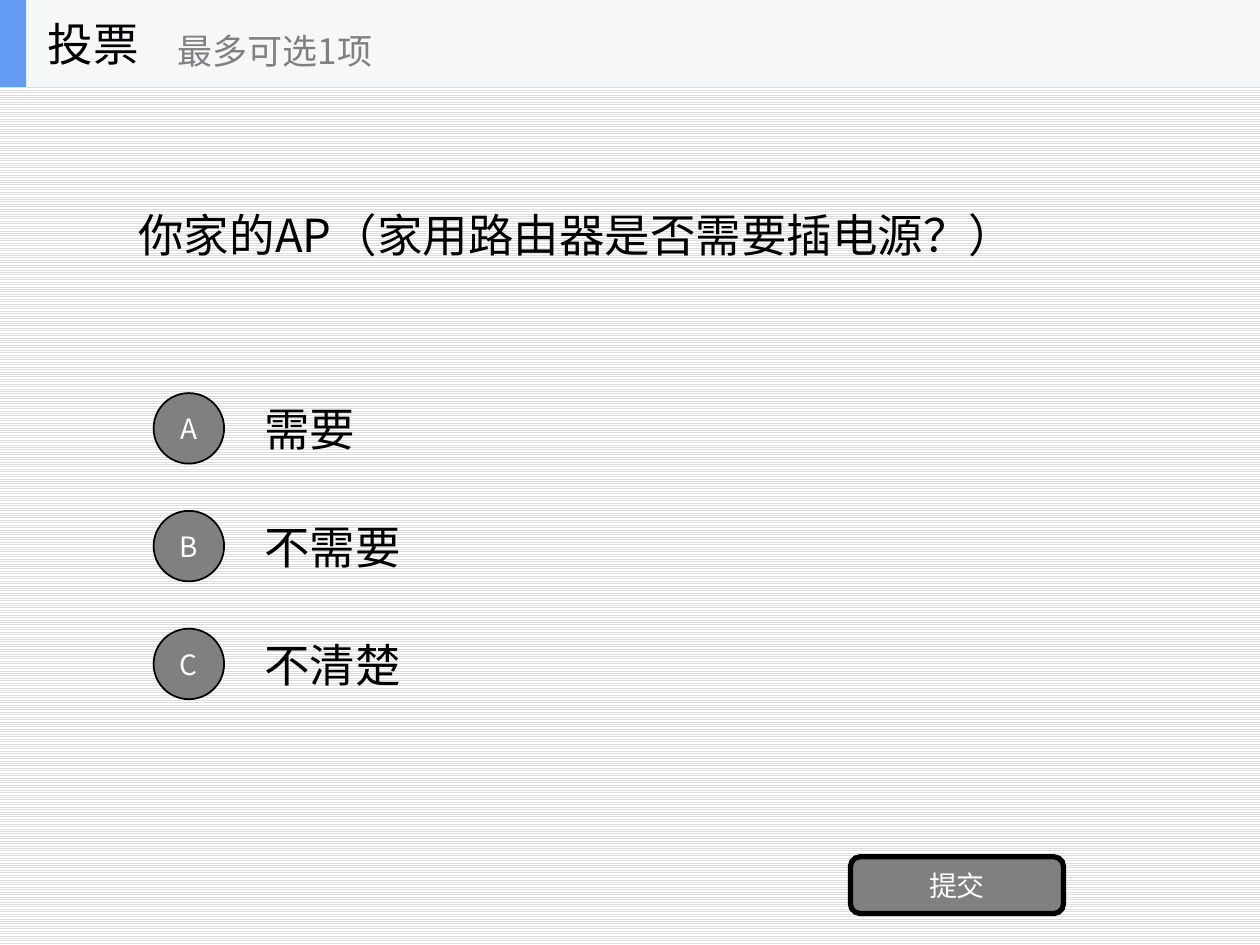
"""Build a poll slide with a question, three options and a submit button."""
from lxml.etree import SubElement
from pptx import Presentation
from pptx.dml.color import RGBColor
from pptx.enum.dml import MSO_PATTERN
from pptx.enum.shapes import MSO_SHAPE
from pptx.enum.text import MSO_ANCHOR, PP_ALIGN
from pptx.oxml.ns import qn
from pptx.util import Pt

TITLE = "投票"
HINT = "最多可选1项"
QUERY = "你家的AP（家用路由器是否需要插电源？）"
OPTIONS = [("A", "需要"), ("B", "不需要"), ("C", "不清楚")]
SUBMIT = "提交"

FONT = "Noto Sans CJK SC"
BLACK = RGBColor(0, 0, 0)
WHITE = RGBColor(255, 255, 255)
GRAY = RGBColor(0x80, 0x80, 0x80)
STRIPE = RGBColor(0xDD, 0xDD, 0xDD)
PALE = RGBColor(0xF6, 0xF7, 0xF8)
BLUE = RGBColor(0x63, 0x9E, 0xF4)

WIDTH, HEIGHT = 720, 540
BAR = 49.7
FIRST, PITCH = 219.6, 67.3
ROW, DOT = 50.4, 40.3


def write(shape, text, size, color, align=PP_ALIGN.LEFT, wrap=True):
    frame = shape.text_frame
    frame.text = text
    frame.word_wrap = wrap
    frame.vertical_anchor = MSO_ANCHOR.MIDDLE
    para = frame.paragraphs[0]
    para.alignment = align
    run = para.runs[0]
    run.font.size = Pt(size)
    run.font.color.rgb = color
    run.font.name = FONT
    SubElement(run.font._element, qn("a:ea"), typeface=FONT)


def label(shapes, box, text, size=26, color=BLACK):
    write(shapes.add_textbox(*map(Pt, box)), text, size, color)


def block(shapes, kind, box, fill, line=0):
    shape = shapes.add_shape(kind, *map(Pt, box))
    shape.shadow.inherit = False
    shape.fill.solid()
    shape.fill.fore_color.rgb = fill
    if line:
        shape.line.color.rgb = BLACK
        shape.line.width = Pt(line)
    else:
        shape.line.fill.background()
    return shape


def button(shapes, kind, box, text, line):
    shape = block(shapes, kind, box, GRAY, line)
    write(shape, text, 16, WHITE, PP_ALIGN.CENTER, False)


def main():
    deck = Presentation()
    deck.slide_width, deck.slide_height = Pt(WIDTH), Pt(HEIGHT)
    slide = deck.slides.add_slide(deck.slide_layouts[6])
    back = slide.background.fill
    back.patterned()
    back.pattern = MSO_PATTERN.LIGHT_HORIZONTAL
    back.fore_color.rgb = STRIPE
    back.back_color.rgb = WHITE

    shapes = slide.shapes
    label(shapes, (72, BAR, 576, 168.5), QUERY)
    for i, (mark, text) in enumerate(OPTIONS):
        top = FIRST + i * PITCH
        label(shapes, (144, top, 504, ROW), text)
        dot = (87.8, top + (ROW - DOT) / 2, DOT, DOT)
        button(shapes, MSO_SHAPE.OVAL, dot, mark, 1)
    button(shapes, MSO_SHAPE.ROUNDED_RECTANGLE,
           (486, 489.6, 121.7, 32.4), SUBMIT, 3)

    head = shapes.add_group_shape().shapes
    block(head, MSO_SHAPE.RECTANGLE, (0, 0, WIDTH, BAR), PALE)
    block(head, MSO_SHAPE.RECTANGLE, (0, 0, 15, BAR), BLUE)
    label(head, (20.2, 0, 149.8, BAR), TITLE)
    label(head, (94.3, 8.6, 180, 40.3), HINT, 20, GRAY)
    deck.save("out.pptx")


if __name__ == "__main__":
    main()
